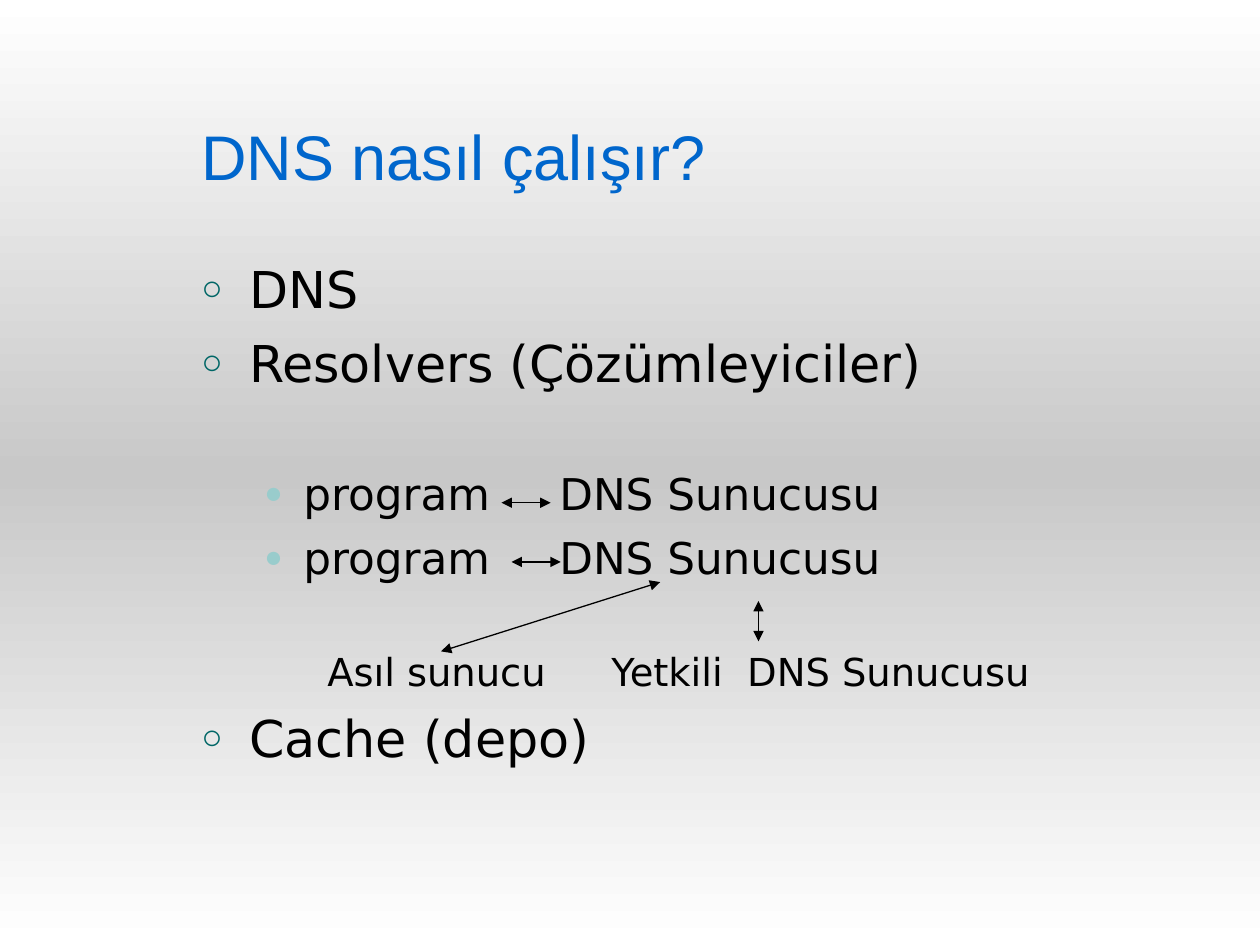
from copy import deepcopy

from pptx import Presentation
from pptx.dml.color import RGBColor
from pptx.enum.shapes import MSO_CONNECTOR
from pptx.enum.text import MSO_ANCHOR
from pptx.oxml.ns import qn
from pptx.oxml.xmlchemy import OxmlElement
from pptx.util import Inches, Pt

BLUE = RGBColor(0x00, 0x66, 0xCC)
BLACK = RGBColor(0x00, 0x00, 0x00)
WHITE = RGBColor(0xFF, 0xFF, 0xFF)
GREY = RGBColor(0xC8, 0xC8, 0xC8)
TEAL = RGBColor(0x00, 0x66, 0x66)
PALE_TEAL = RGBColor(0x99, 0xCC, 0xCC)

# Content: (level, parts set apart on one line, space before in points)
TITLE = "DNS nasıl çalışır?"
OUTLINE = [
    ("topic", ["DNS"], 7.3),
    ("topic", ["Resolvers (Çözümleyiciler)"], 7.3),
    ("exchange", ["program", "DNS Sunucusu"], 42),
    ("exchange", ["program", "DNS Sunucusu"], 6.8),
    ("servers", ["Asıl sunucu", "Yetkili", "DNS Sunucusu"], 37.2),
    ("topic", ["Cache (depo)"], 7.3),
]
# Gaps are points of spacing added to the space between two parts
LEVELS = {
    "topic": dict(size=29, margin=0.38, hang=0.38, bullet=("○", TEAL), gaps=[]),
    "exchange": dict(size=25, margin=0.81, hang=0.31, bullet=("●", PALE_TEAL), gaps=[31.8]),
    "servers": dict(size=22, margin=1.25, hang=0.25, bullet=None, gaps=[30.5, 7]),
}
ARROWS = [  # from, to
    ((5.24, 4.62), (3.5, 5.17)),
    ((3.98, 3.99), (4.37, 3.99)),
    ((4.06, 4.46), (4.45, 4.46)),
    ((6.02, 4.77), (6.02, 5.09)),
]
LEFT, WIDTH = 1.5, 8


def add_child(parent, tag, **attributes):
    child = OxmlElement(tag)
    for name, value in attributes.items():
        child.set(name, str(value))
    parent.append(child)
    return child


def add_text_frame(slide, top, height):
    box = slide.shapes.add_textbox(Inches(LEFT), Inches(top), Inches(WIDTH), Inches(height))
    box.text_frame.word_wrap = True
    return box.text_frame


def add_run(paragraph, text, name, size, color):
    run = paragraph.add_run()
    run.text = text
    run.font.name, run.font.size = name, Pt(size)
    run.font.color.rgb = color
    return run


def fill_line(paragraph, parts, size, margin, hang, bullet, gaps):
    properties = paragraph._p.get_or_add_pPr()
    properties.set("marL", str(Inches(margin)))
    properties.set("indent", str(-Inches(hang)))
    if bullet:
        character, color = bullet
        add_child(add_child(properties, "a:buClr"), "a:srgbClr", val=color)
        add_child(properties, "a:buSzPct", val=70000)
        add_child(properties, "a:buFont", typeface="Arial")
        add_child(properties, "a:buChar", char=character)
    style = ("DejaVu Sans", size, BLACK)
    add_run(paragraph, parts[0], *style)
    for gap, part in zip(gaps, parts[1:]):
        space = add_run(paragraph, " ", *style)
        space._r.get_or_add_rPr().set("spc", str(round(gap * 100)))
        add_run(paragraph, part, *style)


presentation = Presentation()
presentation.slide_width, presentation.slide_height = Inches(10), Inches(7.5)
slide = presentation.slides.add_slide(presentation.slide_layouts[6])

# Background: white to grey and back, top to bottom
background = slide.background.fill
background.gradient()
background.gradient_angle = 270
stop_list = slide.element.find(".//" + qn("a:gsLst"))
stop_list.append(deepcopy(stop_list[0]))
for stop, color, position in zip(background.gradient_stops, (WHITE, GREY, WHITE), (0, 0.5, 1)):
    stop.color.rgb = color
    stop.position = position

# Title
title = add_text_frame(slide, 0.33, 1.25)
title.vertical_anchor = MSO_ANCHOR.BOTTOM
add_run(title.paragraphs[0], TITLE, "Arial", 36, BLUE)

# Outline
outline = add_text_frame(slide, 2, 4.5)
for index, (level, parts, space_before) in enumerate(OUTLINE):
    paragraph = outline.add_paragraph() if index else outline.paragraphs[0]
    fill_line(paragraph, parts, **LEVELS[level])
    paragraph.space_before = Pt(space_before)

# Two-way arrows
for start, end in ARROWS:
    arrow = slide.shapes.add_connector(
        MSO_CONNECTOR.STRAIGHT, *(Inches(value) for value in start + end))
    arrow.line.color.rgb = BLACK
    arrow.line.width = Pt(0.75)
    line = arrow.line._get_or_add_ln()
    add_child(line, "a:headEnd", type="triangle")
    add_child(line, "a:tailEnd", type="triangle")
    add_child(arrow._element.spPr, "a:effectLst")

presentation.save("out.pptx")
